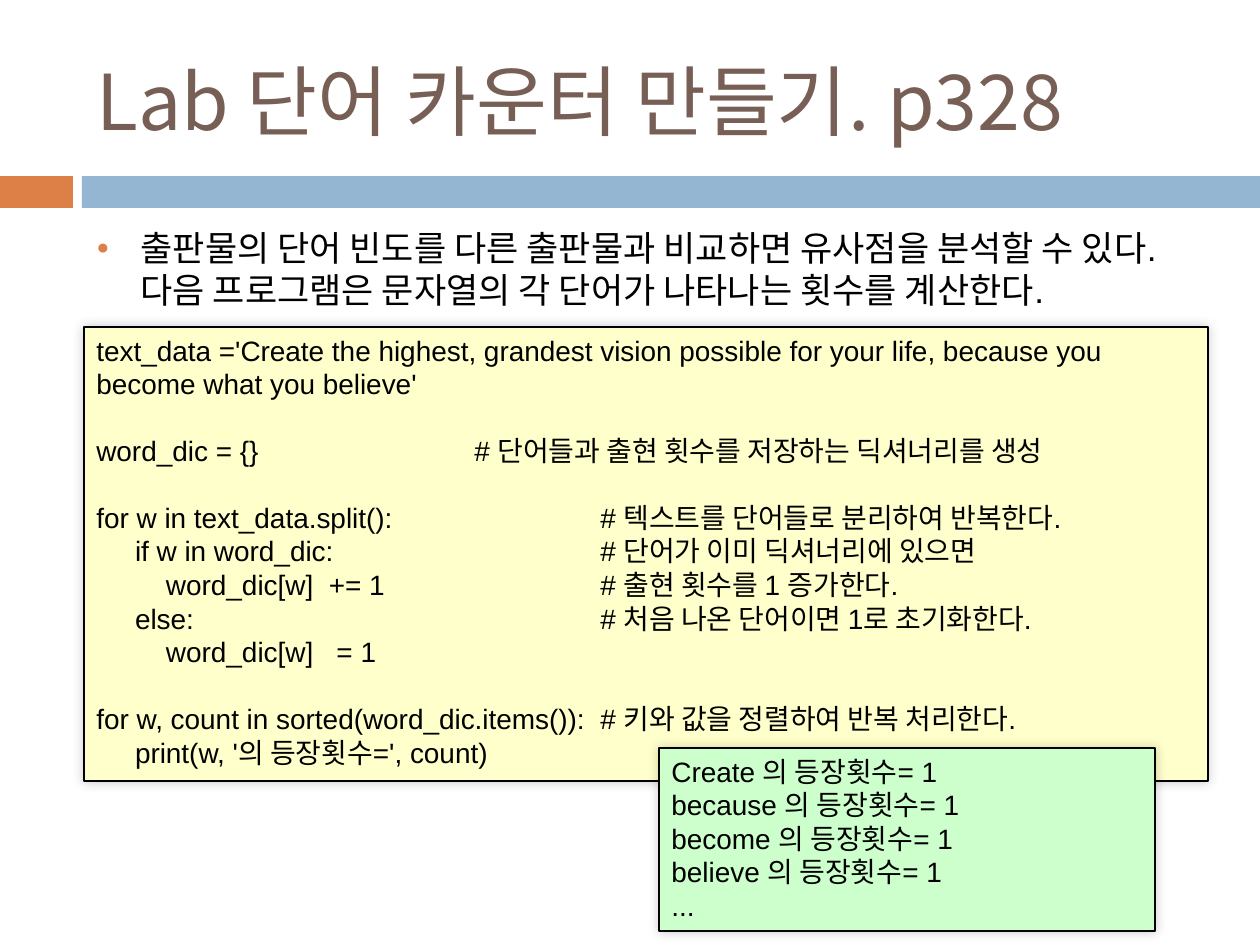
import pptx
import pptx.util
import pptx.dml.color
import pptx.enum.shapes
import pptx.enum.text
import pptx.oxml
import pptx.oxml.ns

PX_PER_INCH = 126
COLORS = {
    "orange": "DD8047", "blue": "94B6D2", "brown": "775F55", "black": "000000",
    "code": "FFFFCC", "output": "CCFFCC",
}
NAMESPACE = pptx.oxml.ns.nsdecls("a")

# Each code line: code, comment, comment tab stop in px, blank line above
CODE_LINES = [
    ("text_data ='Create the highest, grandest vision possible for your life, "
     "because you become what you believe'", "", 0, False),
    ("word_dic = {}", "# 단어들과 출현 횟수를 저장하는 딕셔너리를 생성", 378, True),
    ("for w in text_data.split():", "# 텍스트를 단어들로 분리하여 반복한다.", 504, True),
    ("     if w in word_dic:", "# 단어가 이미 딕셔너리에 있으면", 504, False),
    ("         word_dic[w]  += 1", "# 출현 횟수를 1 증가한다.", 504, False),
    ("     else:", "# 처음 나온 단어이면 1로 초기화한다.", 504, False),
    ("         word_dic[w]   = 1", "", 0, False),
    ("for w, count in sorted(word_dic.items()):",
     "# 키와 값을 정렬하여 반복 처리한다.", 504, True),
    ("     print(w, '의 등장횟수=', count)", "", 0, False),
]
OUTPUT_LINES = [f"{word} 의 등장횟수= 1" for word in
                ("Create", "because", "become", "believe")] + ["..."]


def px(length):
    return pptx.util.Emu(round(length * 914400 / PX_PER_INCH))


def color(name):
    return pptx.dml.color.RGBColor.from_string(COLORS[name])


def place(shape, left, top, width, height):
    shape.left, shape.top = px(left), px(top)
    shape.width, shape.height = px(width), px(height)


def add_span(para, text, size, font="Arial", ink="black"):
    span = para.add_run()
    span.text = text
    span.font.size = pptx.util.Pt(size)
    span.font.name = font
    span.font.color.rgb = color(ink)


def add_rectangle(page, left, top, width, height, fill):
    kind = pptx.enum.shapes.MSO_SHAPE.RECTANGLE
    box = page.shapes.add_shape(kind, px(left), px(top), px(width), px(height))
    box.shadow.inherit = False
    box.fill.solid()
    box.fill.fore_color.rgb = color(fill)
    box.line.fill.background()
    return box


def add_listing_box(page, left, top, width, height, fill):
    """Outlined box with a soft shadow, ready for lines of text."""
    box = add_rectangle(page, left, top, width, height, fill)
    box.line.color.rgb = color("black")
    box.line.width = pptx.util.Pt(0.75)
    effects = box._element.spPr.find(pptx.oxml.ns.qn("a:effectLst"))
    effects.append(pptx.oxml.parse_xml(
        f'<a:outerShdw {NAMESPACE} blurRad="76200" dist="0" dir="18900000" '
        f'rotWithShape="0"><a:srgbClr val="{COLORS["black"]}">'
        '<a:alpha val="20000"/></a:srgbClr></a:outerShdw>'))
    frame = box.text_frame
    frame.word_wrap = True
    frame.auto_size = pptx.enum.text.MSO_AUTO_SIZE.SHAPE_TO_FIT_TEXT
    frame.vertical_anchor = pptx.enum.text.MSO_ANCHOR.TOP
    return frame


def add_line(frame, index):
    para = frame.paragraphs[0] if index == 0 else frame.add_paragraph()
    para.alignment = pptx.enum.text.PP_ALIGN.LEFT
    return para


def set_tab_stop(para, position):
    para._p.get_or_add_pPr().append(pptx.oxml.parse_xml(
        f'<a:tabLst {NAMESPACE}><a:tab pos="{px(position)}" algn="l"/></a:tabLst>'))


def add_bullet(para, indent):
    properties = para._p.get_or_add_pPr()
    properties.set("marL", str(px(indent)))
    properties.set("indent", str(-px(indent)))
    for xml in (f'<a:buClr {NAMESPACE}><a:srgbClr val="{COLORS["orange"]}"/></a:buClr>',
                f'<a:buSzPct {NAMESPACE} val="60000"/>',
                f'<a:buChar {NAMESPACE} char="●"/>'):
        properties.append(pptx.oxml.parse_xml(xml))


def fill_title(page):
    title = page.shapes.title
    place(title, 84, 32, 1124, 136)
    title.text_frame.vertical_anchor = pptx.enum.text.MSO_ANCHOR.MIDDLE
    add_span(add_line(title.text_frame, 0), "Lab 단어 카운터 만들기. p328", 44,
             "Noto Sans CJK KR", "brown")


def fill_body(page):
    body = page.placeholders[1]
    place(body, 84, 220, 1149, 620)
    para = add_line(body.text_frame, 0)
    para.space_before = pptx.util.Pt(0)
    add_bullet(para, 44)
    add_span(para, "출판물의 단어 빈도를 다른 출판물과 비교하면 유사점을 분석할 수 있다. "
                   "다음 프로그램은 문자열의 각 단어가 나타나는 횟수를 계산한다.", 20)


def add_code(page):
    frame = add_listing_box(page, 84, 327, 1124, 454, "code")
    for index, (code, comment, stop, gap) in enumerate(CODE_LINES):
        para = add_line(frame, index)
        if gap:
            para.space_before = pptx.util.Pt(19)
        if comment:
            set_tab_stop(para, stop)
        add_span(para, f"{code}\t{comment}" if comment else code, 16)


def add_output(page):
    frame = add_listing_box(page, 659, 748, 496, 183, "output")
    for index, text in enumerate(OUTPUT_LINES):
        add_span(add_line(frame, index), text, 16)


def main():
    deck = pptx.Presentation()
    deck.slide_width, deck.slide_height = px(1260), px(945)
    page = deck.slides.add_slide(deck.slide_layouts[1])

    # Band under the title
    add_rectangle(page, 0, 176, 73, 32, "orange")
    add_rectangle(page, 82, 176, 1178, 32, "blue")

    # Heading and introduction
    fill_title(page)
    fill_body(page)

    # Program and what it prints
    add_code(page)
    add_output(page)
    deck.save("out.pptx")


if __name__ == "__main__":
    main()
